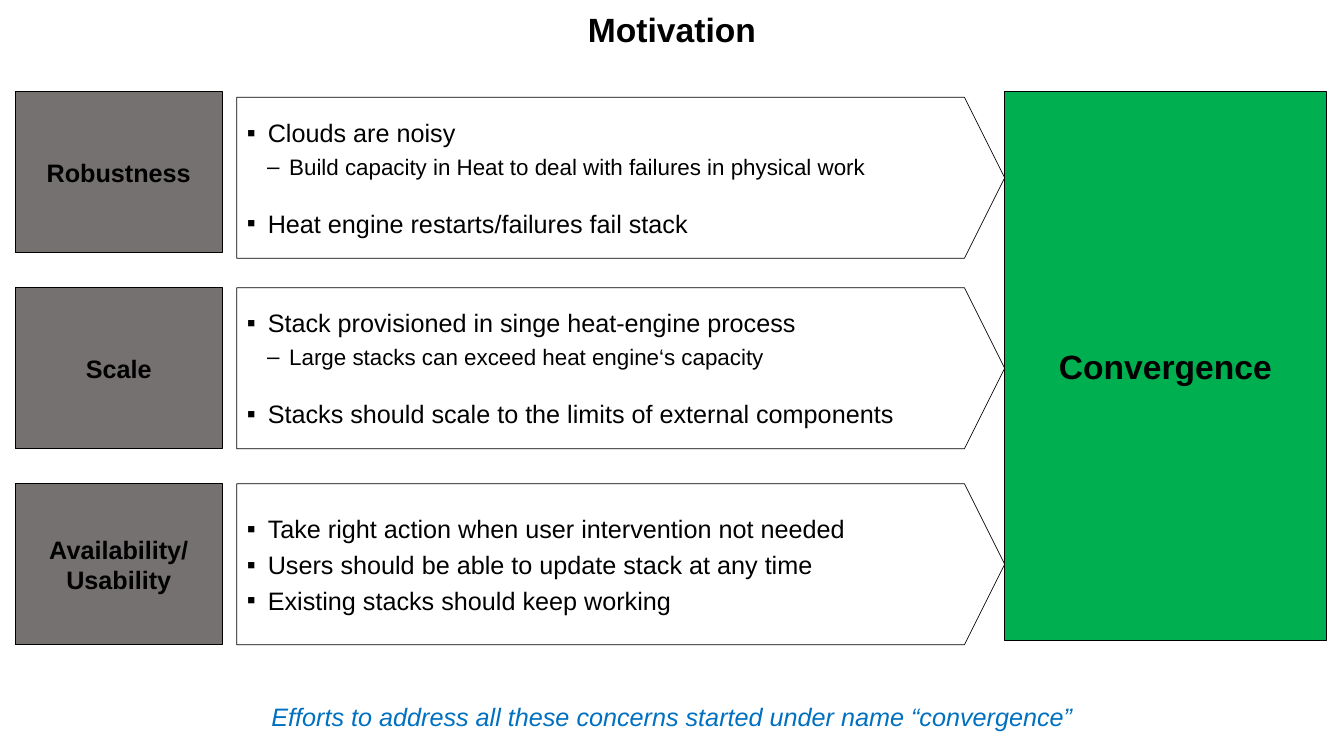
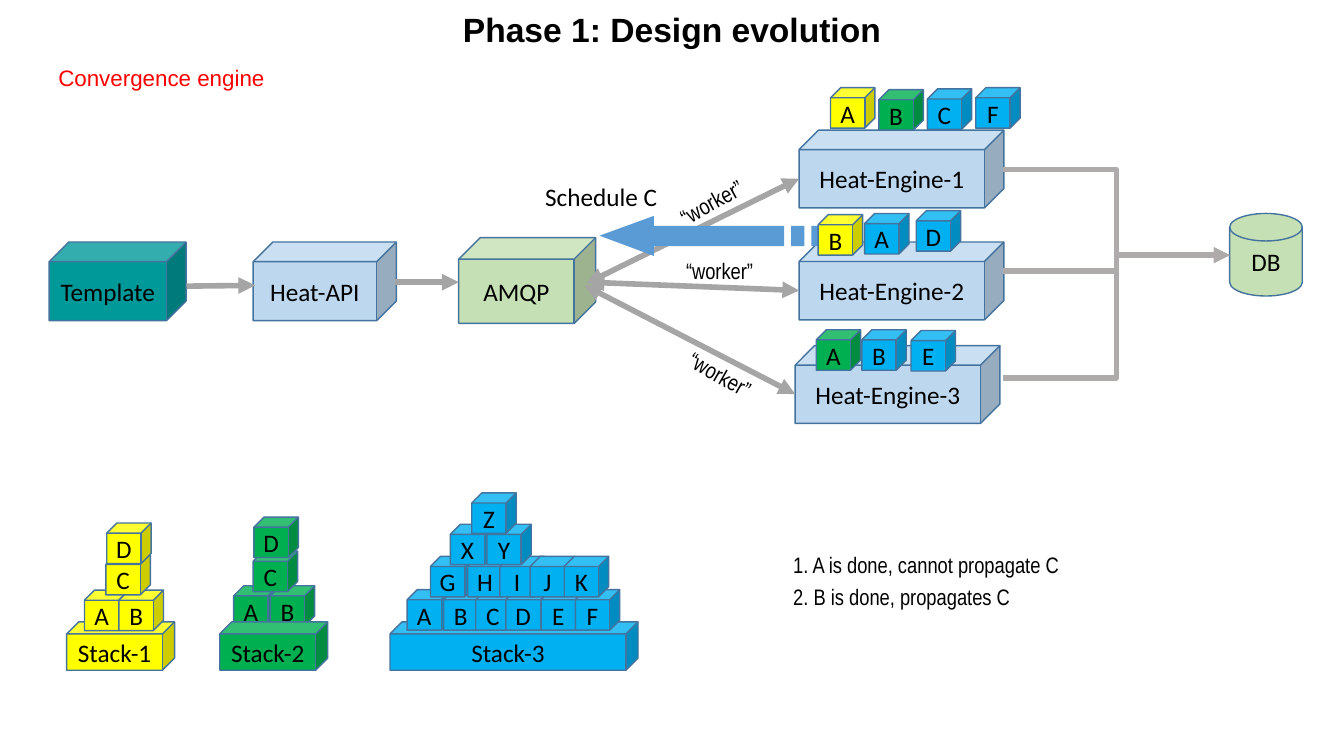
from lxml.etree import SubElement
from pptx import Presentation
from pptx.dml.color import RGBColor
from pptx.enum.shapes import MSO_CONNECTOR, MSO_SHAPE
from pptx.enum.text import MSO_ANCHOR, PP_ALIGN
from pptx.oxml.ns import qn
from pptx.util import Cm, Pt

COLORS = {
    "black": "000000", "white": "FFFFFF", "gray": "767171", "green": "00B050",
    "note": "0070C0", "red": "FF0000", "teal": "009999", "pale blue": "BDD7EE",
    "pale green": "C5E0B4", "yellow": "FFFF00", "blue": "00B0F0",
    "outline": "43739E", "arrow": "A5A5A5", "elbow": "AFABAB", "schedule": "5B9BD5",
}
FORMATS = {
    "title": {"name": "Arial", "size": Pt(24), "bold": True},
    "label": {"name": "Arial", "size": Pt(18), "bold": True},
    "body": {"name": "Arial", "size": Pt(18)},
    "detail": {"name": "Arial", "size": Pt(16)},
    "note": {"name": "Arial", "size": Pt(18), "italic": True},
    "block": {"name": "Calibri", "size": Pt(18)},
    "narrow": {"name": "Arial Narrow", "size": Pt(16)},
}
# Bullet levels: text format, sign, indent and hanging width in cm
BULLETS = [("body", "▪", 0.53, 0.53), ("detail", "–", 1.07, 0.56)]
SLIDE_WIDTH, SLIDE_HEIGHT = 33.87, 19.05
BLOCK_WIDTH, BLOCK_HEIGHT = 1.12, 1.02


def rgb(color):
    return RGBColor.from_string(COLORS[color])


class Deck:
    def __init__(self):
        self.presentation = Presentation()
        self.presentation.slide_width = Cm(SLIDE_WIDTH)
        self.presentation.slide_height = Cm(SLIDE_HEIGHT)
        self.slide = None

    def add_slide(self, title):
        self.slide = self.presentation.slides.add_slide(self.presentation.slide_layouts[6])
        box = self.text(title, 0, 0, SLIDE_WIDTH, 1.46, "title", align=PP_ALIGN.CENTER)
        box.text_frame.vertical_anchor = MSO_ANCHOR.MIDDLE

    def fill_paragraph(self, paragraph, text, style, color="black", align=PP_ALIGN.LEFT):
        paragraph.alignment = align
        run = paragraph.add_run()
        run.text = text
        for attribute, value in FORMATS[style].items():
            setattr(run.font, attribute, value)
        run.font.color.rgb = rgb(color)

    def text(self, text, left, top, width, height, style, color="black",
             align=PP_ALIGN.LEFT, rotation=0):
        box = self.slide.shapes.add_textbox(Cm(left), Cm(top), Cm(width), Cm(height))
        box.text_frame.word_wrap = True
        box.rotation = rotation
        self.fill_paragraph(box.text_frame.paragraphs[0], text, style, color, align)
        return box

    def shape(self, kind, left, top, width, height, fill, outline="black", weight=0.5):
        shape = self.slide.shapes.add_shape(kind, Cm(left), Cm(top), Cm(width), Cm(height))
        shape.shadow.inherit = False
        shape.fill.solid()
        shape.fill.fore_color.rgb = rgb(fill)
        shape.line.color.rgb = rgb(outline)
        shape.line.width = Pt(weight)
        shape.text_frame.word_wrap = True
        shape.text_frame.vertical_anchor = MSO_ANCHOR.MIDDLE
        return shape

    def panel(self, lines, left, top, width, height, fill, style):
        frame = self.shape(MSO_SHAPE.RECTANGLE, left, top, width, height, fill).text_frame
        for index, line in enumerate(lines):
            paragraph = frame.add_paragraph() if index else frame.paragraphs[0]
            self.fill_paragraph(paragraph, line, style, align=PP_ALIGN.CENTER)

    def bullet_arrow(self, items, left, top, width, height):
        shape = self.shape(MSO_SHAPE.PENTAGON, left, top, width, height, "white")
        shape.adjustments[0] = 0.25
        frame = shape.text_frame
        for index, (level, space, text) in enumerate(items):
            paragraph = frame.add_paragraph() if index else frame.paragraphs[0]
            style, sign, indent, hanging = BULLETS[level]
            paragraph.level = level
            properties = paragraph._p.get_or_add_pPr()
            properties.set("marL", str(Cm(indent)))
            properties.set("indent", str(-Cm(hanging)))
            SubElement(properties, qn("a:buFont")).set("typeface", "Arial")
            SubElement(properties, qn("a:buChar")).set("char", sign)
            paragraph.space_before = Pt(space)
            self.fill_paragraph(paragraph, text, style)

    def block(self, text, left, top, width=BLOCK_WIDTH, height=BLOCK_HEIGHT,
              fill="blue", kind=MSO_SHAPE.CUBE):
        frame = self.shape(kind, left, top, width, height, fill, "outline", 1).text_frame
        for side in ("left", "top", "right", "bottom"):
            setattr(frame, f"margin_{side}", 0)
        self.fill_paragraph(frame.paragraphs[0], text, "block", align=PP_ALIGN.CENTER)

    def connector(self, start, end, kind=MSO_CONNECTOR.STRAIGHT, color="arrow",
                  weight=4, heads=("tailEnd",)):
        connector = self.slide.shapes.add_connector(
            kind, *(Cm(value) for value in (*start, *end)))
        connector.line.color.rgb = rgb(color)
        connector.line.width = Pt(weight)
        properties = connector.element.spPr
        for head in heads:
            SubElement(properties.find(qn("a:ln")), qn(f"a:{head}")).set("type", "triangle")
        SubElement(properties, qn("a:effectLst"))

    def outline(self, contours, fill):
        points = [[(Cm(x), Cm(y)) for x, y in contour] for contour in contours]
        builder = self.slide.shapes.build_freeform(*points[0][0], scale=1.0)
        for index, contour in enumerate(points):
            if index:
                builder.move_to(*contour[0])
            builder.add_line_segments(contour[1:], close=True)
        shape = builder.convert_to_shape()
        shape.shadow.inherit = False
        shape.fill.solid()
        shape.fill.fore_color.rgb = rgb(fill)
        shape.line.fill.background()


def motivation(deck):
    deck.add_slide("Motivation")
    deck.panel(["Convergence"], 25.32, 2.31, 8.1, 13.84, "green", "title")

    # Concerns: label lines, arrow top, bullets (level, space before, text)
    concerns = [
        (["Robustness"], 2.45, [
            (0, 0, "Clouds are noisy"),
            (1, 4, "Build capacity in Heat to deal with failures in physical work"),
            (0, 20, "Heat engine restarts/failures fail stack")]),
        (["Scale"], 7.25, [
            (0, 0, "Stack provisioned in singe heat-engine process"),
            (1, 4, "Large stacks can exceed heat engine‘s capacity"),
            (0, 20, "Stacks should scale to the limits of external components")]),
        (["Availability/", "Usability"], 12.19, [
            (0, 0, "Take right action when user intervention not needed"),
            (0, 4, "Users should be able to update stack at any time"),
            (0, 4, "Existing stacks should keep working")]),
    ]
    for row, (label, arrow_top, items) in enumerate(concerns):
        deck.panel(label, 0.38, 2.31 + row * 4.94, 5.23, 4.06, "gray", "label")
        deck.bullet_arrow(items, 5.97, arrow_top, 19.35, 4.06)

    deck.text("Efforts to address all these concerns started under name “convergence”",
              0, 17.55, SLIDE_WIDTH, 1.02, "note", "note", PP_ALIGN.CENTER)


def design_evolution(deck):
    deck.add_slide("Phase 1: Design evolution")
    deck.text("Convergence engine", 1.22, 1.5, 6.73, 0.94, "detail", "red")

    # Request chain
    deck.block("Template", 1.24, 6.1, 3.45, 1.98, "teal")
    deck.block("Heat-API", 6.38, 6.1, 3.61, 1.98, "pale blue")
    deck.block("AMQP", 11.56, 5.99, 3.45, 2.16, "pale green")
    deck.block("DB", 30.99, 5.38, 1.83, 2.08, "pale green", MSO_SHAPE.FLOWCHART_MAGNETIC_DISK)
    deck.connector((4.7, 7.21), (6.43, 7.19))
    deck.connector((9.96, 7.11), (11.56, 7.11))

    # Engines, each joined to the database and the queue
    engines = [
        (20.14, 3.28, 4.27, (14.78, 7.14), 4.5),
        (20.14, 6.1, 6.83, (14.81, 7.11), 7.32),
        (20.04, 8.71, 9.53, (14.73, 7.19), 9.93),
    ]
    for number, (left, top, exit_y, queue, entry_y) in enumerate(engines, 1):
        deck.block(f"Heat-Engine-{number}", left, top, 5.16, 1.96, "pale blue")
        deck.connector((25.27, exit_y), (30.99, 6.43), MSO_CONNECTOR.ELBOW, "elbow", 3.75)
        deck.connector(queue, (left, entry_y), heads=("headEnd", "tailEnd"))
    for left, top, rotation in [(16.76, 4.34, 331.4), (17.04, 6.35, 0), (16.97, 9.27, 29.6)]:
        deck.text("“worker”", left, top, 3.4, 0.94, "narrow", rotation=rotation)

    # Striped arrow back to the queue
    deck.outline([
        [(16.48, 5.44), (16.48, 5.69), (19.76, 5.69), (19.76, 6.2),
         (16.48, 6.2), (16.48, 6.45), (15.11, 5.94)],
        *([(left, 5.69), (right, 5.69), (right, 6.2), (left, 6.2)]
          for left, right in [(19.94, 20.27), (20.45, 20.62)]),
    ], "schedule")
    deck.text("Schedule C", 13.49, 4.45, 3.96, 1.02, "block")

    # Resources handled by the engines
    resources = [
        ("A", 20.93, 2.21, "yellow"), ("B", 22.15, 2.26, "green"),
        ("C", 23.37, 2.24, "blue"), ("F", 24.59, 2.21, "blue"),
        ("B", 20.62, 5.41, "yellow"), ("A", 21.79, 5.38, "blue"), ("D", 23.09, 5.31, "blue"),
        ("A", 20.57, 8.31, "green"), ("B", 21.72, 8.31, "blue"), ("E", 22.96, 8.33, "blue"),
    ]
    for letter, left, top, fill in resources:
        deck.block(letter, left, top, fill=fill)

    # Stacks: base left, base width, fill, rows (letters, top, lefts) from the bottom
    stacks = [
        (1.68, 2.72, "yellow", [
            ("AB", 14.87, [2.13, 3]), ("C", 13.97, [2.67]), ("D", 13.18, [2.69])]),
        (5.54, 2.72, "green", [
            ("AB", 14.76, [5.89, 6.81]), ("C", 13.89, [6.38]), ("D", 13.03, [6.4])]),
        (9.83, 6.25, "blue", [
            ("ABCDEF", 14.86, [10.26, 11.18, 11.99, 12.75, 13.64, 14.5]),
            ("GHIJK", 14.02, [10.85, 11.79, 12.6, 13.36, 14.22]),
            ("XY", 13.21, [11.35, 12.27]), ("Z", 12.42, [11.89])]),
    ]
    for number, (base_left, base_width, fill, rows) in enumerate(stacks, 1):
        base = (f"Stack-{number}", base_left, 15.67, base_width, 1.22, fill)
        base_in_front = fill == "green"
        if not base_in_front:
            deck.block(*base)
        for letters, top, lefts in rows:
            for letter, left in zip(letters, lefts):
                deck.block(letter, left, top, fill=fill)
        if base_in_front:
            deck.block(*base)

    # Steps
    for row, step in enumerate(["1. A is done, cannot propagate C", "2. B is done, propagates C"]):
        deck.text(step, 19.74, 13.77 + row * 0.81, 9, 0.94, "narrow")


def main():
    deck = Deck()
    motivation(deck)
    design_evolution(deck)
    deck.presentation.save("out.pptx")


if __name__ == "__main__":
    main()
